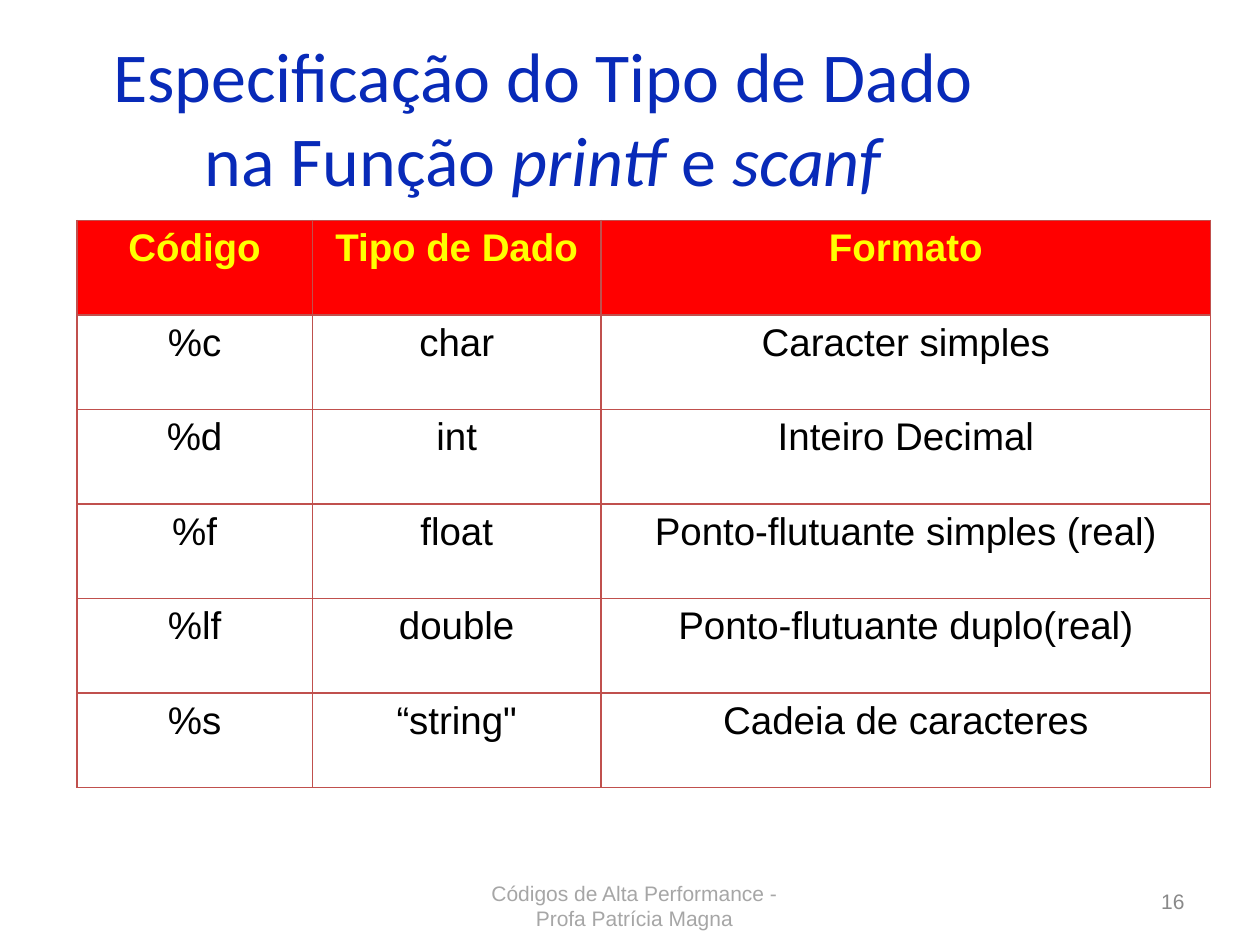
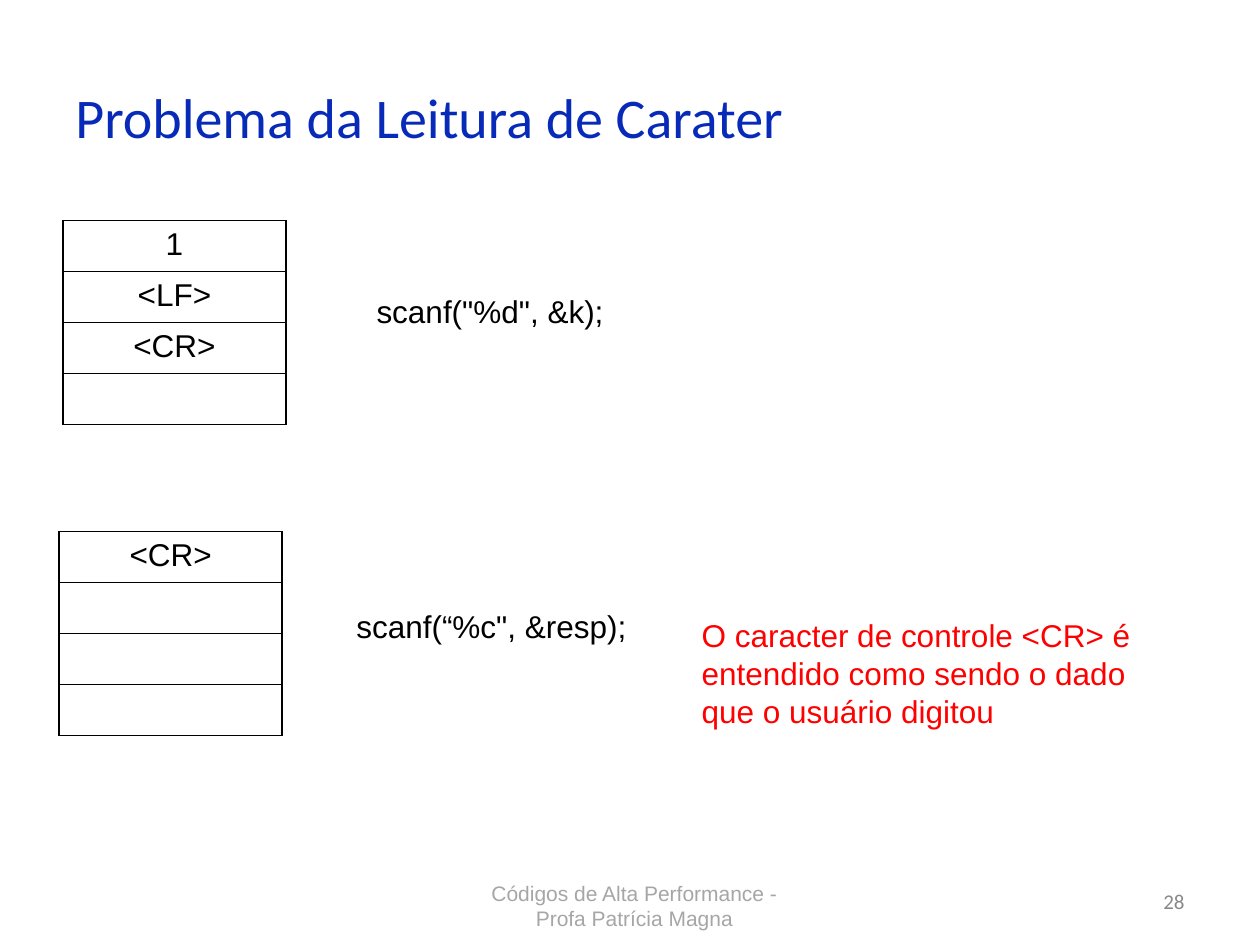
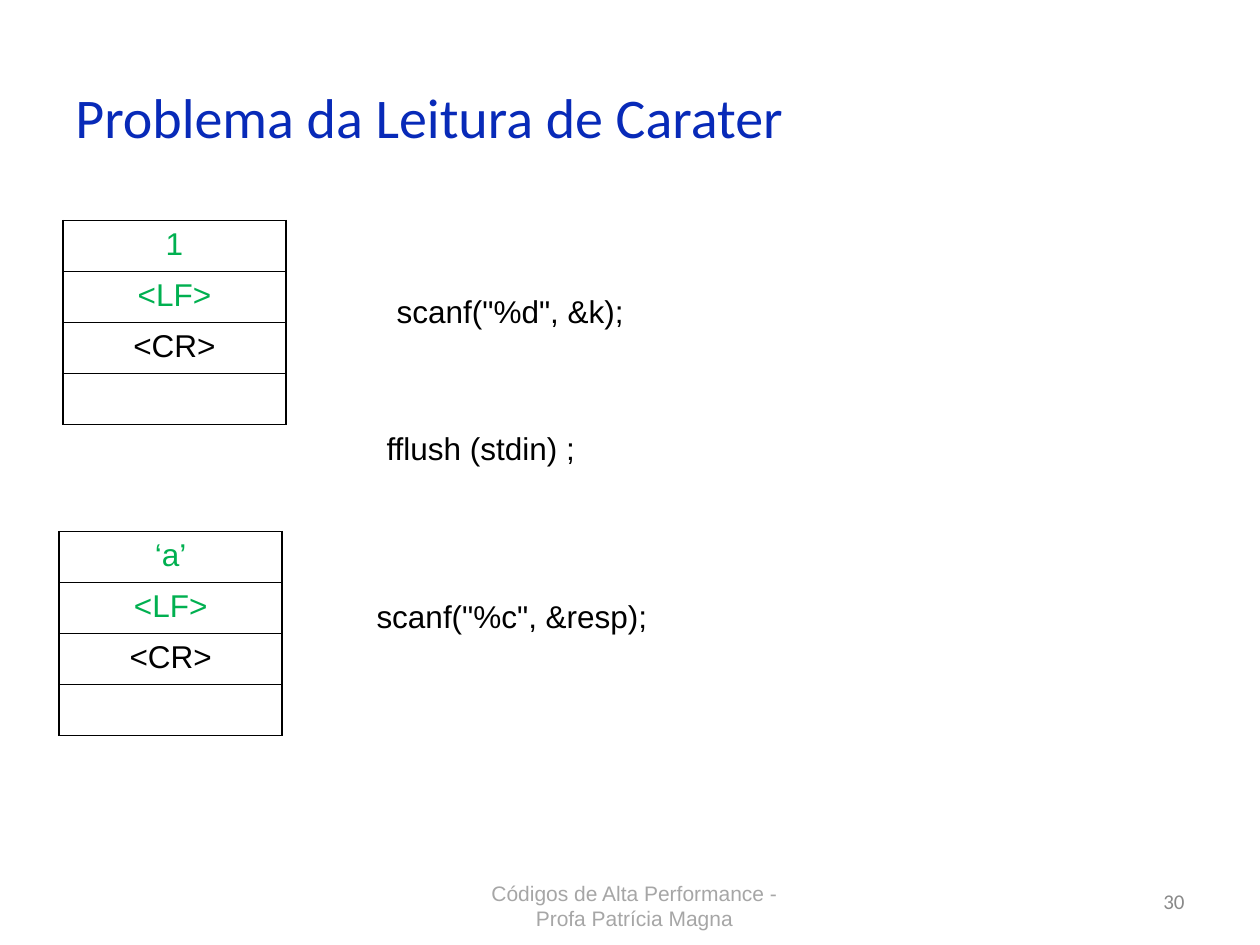
from lxml.etree import SubElement
from pptx import Presentation
from pptx.dml.color import RGBColor
from pptx.enum.text import MSO_ANCHOR, PP_ALIGN
from pptx.oxml.ns import qn
from pptx.util import Inches, Pt

BLUE, BLACK, RED, GREEN = "082AB8", "000000", "FF0000", "00B050"
YELLOW, BROWN, PALE, GRAY = "FFFF00", "C0504D", "A6A6A6", "898989"
LEFT, MID, RIGHT = PP_ALIGN.LEFT, PP_ALIGN.CENTER, PP_ALIGN.RIGHT


def rgb(code):
    return RGBColor.from_string(code)


class Deck:
    """Hold the shared style and the current slide."""

    def __init__(self):
        self.prs = Presentation()
        self.prs.slide_width = Inches(10)
        self.prs.slide_height = Inches(7.5)

    def page(self, number, face="Calibri"):
        self.slide = self.prs.slides.add_slide(self.prs.slide_layouts[6])
        foot = "Códigos de Alta Performance - Profa Patrícia Magna"
        self.text((3.59, 6.88, 2.89, 0.62), [foot], 12, PALE,
                  align=MID, anchor=MSO_ANCHOR.MIDDLE)
        self.text((7.17, 6.95, 2.33, 0.4), [number], 12, GRAY,
                  face=face, align=RIGHT, anchor=MSO_ANCHOR.MIDDLE)

    def runs(self, par, parts, size, color, face="Arial", bold=False):
        for part in parts:
            words, slant = part if isinstance(part, tuple) else (part, False)
            run = par.add_run()
            run.text = words
            font = run.font
            font.name, font.size = face, Pt(size)
            font.bold, font.italic = bold, slant
            font.color.rgb = rgb(color)

    def text(self, box, parts, size=18, color=BLACK, face="Arial",
             align=LEFT, anchor=MSO_ANCHOR.TOP):
        frame = self.slide.shapes.add_textbox(*map(Inches, box)).text_frame
        frame.word_wrap = True
        frame.vertical_anchor = anchor
        par = frame.paragraphs[0]
        par.alignment = align
        self.runs(par, parts, size, color, face)

    def title(self, parts, width=7.94, size=32, align=LEFT):
        self.text((0.5, 0.3, width, 1.25), parts, size, BLUE,
                  "Calibri", align, MSO_ANCHOR.MIDDLE)

    def edge(self, cell, color):
        props = cell._tc.get_or_add_tcPr()
        for side in ("lnL", "lnR", "lnT", "lnB"):
            line = SubElement(props, qn("a:" + side), w=str(Pt(1)))
            fill = SubElement(line, qn("a:solidFill"))
            SubElement(fill, qn("a:srgbClr"), val=color)

    def table(self, box, rows, cols):
        shape = self.slide.shapes.add_table(
            len(rows), len(cols), *map(Inches, box))
        grid = shape.table
        grid.first_row = grid.horz_banding = False
        for col, width in zip(grid.columns, cols):
            col.width = Inches(width)
        return grid

    def cell(self, cell, words, size, color, line, fill=None, bold=False):
        self.edge(cell, line)
        if fill:
            cell.fill.solid()
            cell.fill.fore_color.rgb = rgb(fill)
        else:
            cell.fill.background()
        par = cell.text_frame.paragraphs[0]
        par.alignment = MID
        if words:
            self.runs(par, [words], size, color, bold=bold)

    def types(self, rows):
        grid = self.table((0.61, 1.75, 9, 4.5), rows, (1.87, 2.29, 4.84))
        for r, row in enumerate(rows):
            look = (BLACK, BROWN) if r else (YELLOW, BROWN, RED, True)
            for c, words in enumerate(row):
                cell = grid.cell(r, c)
                cell.margin_left = cell.margin_right = Inches(0.11)
                self.cell(cell, words, 22, *look)

    def buffer(self, left, top, items, read=0):
        grid = self.table((left, top, 1.77, 1.62), items, (1.77,))
        for r, words in enumerate(items):
            color = GREEN if r < read else BLACK
            self.cell(grid.cell(r, 0), words, 18, color, BLACK)

    def code(self, left, top, words):
        self.text((left, top, 4.3, 0.4), [words])

    def reading(self, number, first, second, read=0):
        self.page(number)
        self.title(["Problema da Leitura de Carater"])
        self.buffer(0.5, 1.75, first, read)
        self.buffer(0.47, 4.22, second, read)


def main():
    deck = Deck()

    deck.page("16", "Arial")
    deck.title(["Especificação do Tipo de Dado na Função ", ("printf", True),
                " e ", ("scanf", True)], 7.62, 40, MID)
    deck.types([
        ("Código", "Tipo de Dado", "Formato"),
        ("%c", "char", "Caracter simples"),
        ("%d", "int", "Inteiro Decimal"),
        ("%f", "float", "Ponto-flutuante simples (real)"),
        ("%lf", "double", "Ponto-flutuante duplo(real)"),
        ("%s", "“string\"", "Cadeia de caracteres"),
    ])

    typed = ("1", "<LF>", "<CR>", "")
    deck.reading("28", typed, ("<CR>", "", "", ""))
    deck.code(2.89, 2.27, 'scanf("%d", &k);')
    deck.code(2.73, 4.77, 'scanf(“%c", &resp);')
    deck.text((5.47, 4.84, 3.91, 1.01),
              ["O caracter de controle <CR> é entendido como sendo "
               "o dado que o usuário digitou"], color=RED)

    deck.reading("30", typed, ("‘a’", "<LF>", "<CR>", ""), 2)
    deck.code(3.05, 2.27, 'scanf("%d", &k);')
    deck.code(2.89, 4.69, 'scanf("%c", &resp);')
    deck.code(2.97, 3.36, "fflush (stdin) ;")

    deck.prs.save("out.pptx")


if __name__ == "__main__":
    main()
